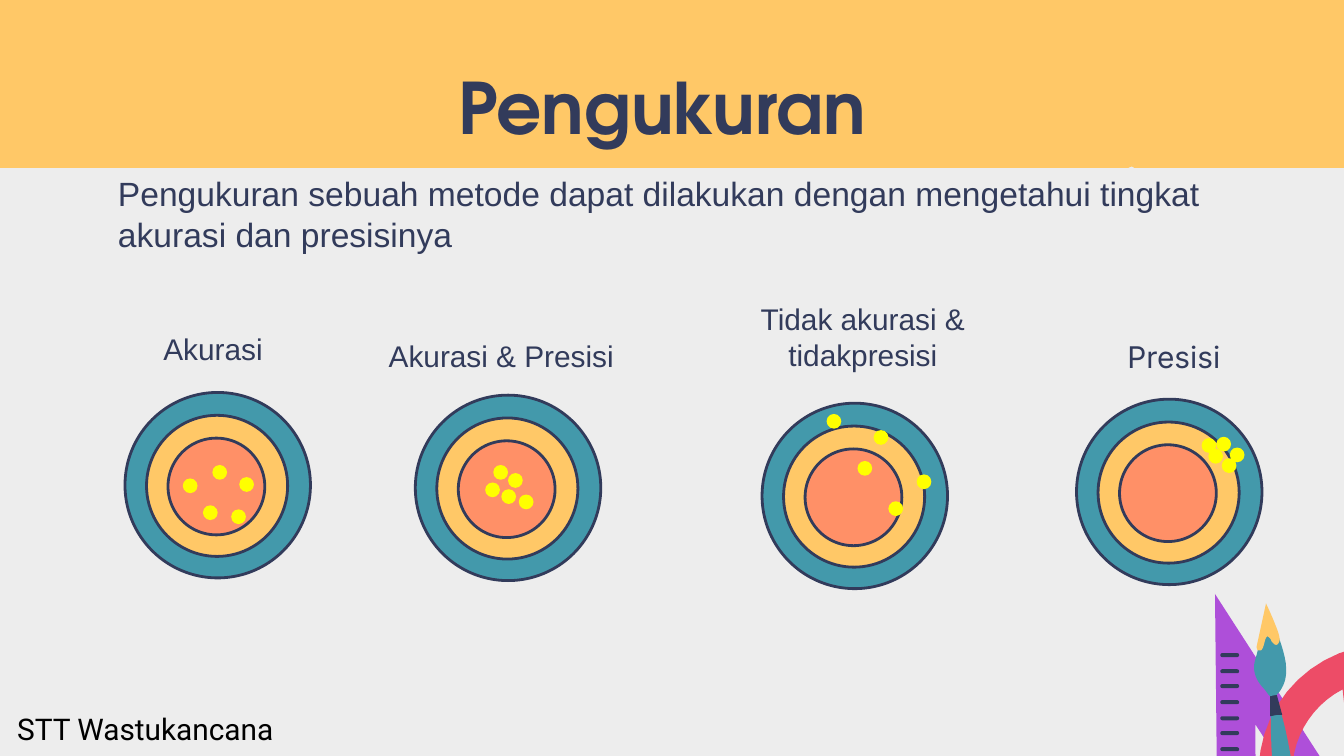
import pptx
import pptx.util
import pptx.dml.color
import pptx.enum.shapes
import pptx.enum.text

RGB = pptx.dml.color.RGBColor
SHAPE = pptx.enum.shapes.MSO_SHAPE
ALIGN = pptx.enum.text.PP_ALIGN
ANCHOR = pptx.enum.text.MSO_ANCHOR
PX = 9144
STEPS = 12

PAPER = RGB(0xED, 0xED, 0xED)
AMBER = RGB(0xFF, 0xC8, 0x67)
NAVY = RGB(0x32, 0x3B, 0x5B)
TEAL = RGB(0x43, 0x99, 0xAB)
CORAL = RGB(0xFF, 0x90, 0x67)
YELLOW = RGB(0xFF, 0xFF, 0x00)
PURPLE = RGB(0xAE, 0x4F, 0xD9)
RED = RGB(0xED, 0x4C, 0x67)
BLACK = RGB(0, 0, 0)

RINGS = [(0, 0, 138, TEAL), (16, 17, 105, AMBER), (32, 34, 72, CORAL)]
BOARDS = [
    (93, 292, [(136, 356), (172, 379), (178, 355), (151, 376), (158, 346)]),
    (801, 297, [(915, 333), (909, 341), (899, 334), (905, 325), (894, 326)]),
    (309, 294, [(367, 346), (373, 364), (378, 352), (361, 359), (386, 368)]),
    (567, 300, [(615, 308), (661, 373), (638, 343), (682, 353), (650, 320)]),
]
LABELS = [
    ("Akurasi", 87, 228, 143, 45, "Arial", ALIGN.CENTER, 1.5),
    ("Presisi", 829, 234, 115, 45, "Inter", ALIGN.LEFT, 1.5),
    ("Akurasi & Presisi", 260, 233, 226, 45, "Arial", ALIGN.CENTER, 1.5),
    ("Tidak akurasi & tidakpresisi", 501, 219, 282, 64, "Arial", ALIGN.CENTER, 1),
]

BAND = [[(0, 0), (0, 125), (839, 125), (840, 125, 841, 124, 842, 124),
         (843, 124, 844, 125, 844, 125), (1000, 125), (1000, 0)]]
RULER = [[(1037, 698), (934, 539), (935, 699)],
         [(1086, 724), (907, 726), (904, 442)]]
ARC = [[(1013, 645), (999, 513), (974, 526, 959, 553, 962, 581), (963, 586),
        (966, 614, 986, 637, 1013, 645)],
       [(1041, 672), (989, 678, 943, 640, 937, 588), (937, 584),
        (932, 532, 969, 486, 1021, 480)]]
BRUSH = [
    ([[(969, 701), (969, 702, 970, 702, 970, 702),
       (975, 701, 973, 660, 967, 610), (962, 564, 954, 526, 949, 521),
       (949, 521, 949, 521, 948, 521), (944, 521, 945, 562, 951, 612),
       (956, 659, 964, 696, 969, 701)]], TEAL),
    ([[(945, 533), (950, 532), (954, 532), (950, 517), (947, 517), (945, 518)]], NAVY),
    ([[(941, 513), (943, 516, 945, 518, 945, 518), (950, 517),
       (950, 517, 958, 510, 957, 497), (957, 483, 943, 454, 943, 454),
       (943, 454, 938, 477, 934, 491), (931, 500, 936, 508, 941, 513)]], TEAL),
    ([[(936, 484), (936, 484, 937, 484, 938, 484),
       (941, 483, 941, 471, 944, 474), (944, 474, 944, 474, 945, 475),
       (946, 476, 946, 478, 947, 478), (949, 481, 951, 480, 952, 477),
       (954, 474, 942, 449, 942, 449), (935, 481),
       (935, 481, 935, 483, 936, 484)]], AMBER),
]


def paint(shape, fill, line=None):
    shape.shadow.inherit = False
    shape.fill.solid()
    shape.fill.fore_color.rgb = fill
    if line is None:
        shape.line.fill.background()
    else:
        shape.line.color.rgb = line
        shape.line.width = pptx.util.Pt(1.5)


def add_form(home, kind, x, y, w, h, fill, line=None):
    shape = home.add_shape(kind, x * PX, y * PX, w * PX, h * PX)
    paint(shape, fill, line)
    return shape


def trace(parts):
    spots = [parts[0]]
    for part in parts[1:]:
        if len(part) == 2:
            spots.append(part)
            continue
        knots = [spots[-1], part[:2], part[2:4], part[4:]]
        for step in range(1, STEPS + 1):
            t = step / STEPS
            mix = [(1 - t) ** 3, 3 * t * (1 - t) ** 2, 3 * t * t * (1 - t), t ** 3]
            spots.append(tuple(sum(m * k[axis] for m, k in zip(mix, knots))
                               for axis in (0, 1)))
    return spots


def add_free(home, loops, fill):
    traced = [trace(loop) for loop in loops]
    pen = home.build_freeform(*[round(v * PX) for v in traced[0][0]], scale=1.0)
    for index, spots in enumerate(traced):
        ends = [(round(x * PX), round(y * PX)) for x, y in spots]
        if index:
            pen.move_to(*ends[0])
        pen.add_line_segments(ends[1:], close=True)
    paint(pen.convert_to_shape(), fill)


def add_text(home, text, x, y, w, h, font, size, color, align=ALIGN.LEFT,
             space=1, bold=False, inset=5):
    box = home.add_textbox(x * PX, y * PX, w * PX, h * PX)
    frame = box.text_frame
    frame.word_wrap = True
    frame.vertical_anchor = ANCHOR.TOP
    frame.margin_left = frame.margin_right = 10 * PX
    frame.margin_top = frame.margin_bottom = inset * PX
    frame.text = text
    para = frame.paragraphs[0]
    para.alignment = align
    para.line_spacing = float(space)
    face = para.runs[0].font
    face.name = font
    face.size = pptx.util.Pt(size)
    face.bold = bold
    face.color.rgb = color
    return frame


def add_board(home, x, y, darts):
    group = home.add_group_shape().shapes
    for dx, dy, size, fill in RINGS:
        add_form(group, SHAPE.OVAL, x + dx, y + dy, size, size, fill, NAVY)
    for left, top in darts:
        add_form(group, SHAPE.OVAL, left, top, 11, 11, YELLOW)


def add_tools(home):
    tools = home.add_group_shape().shapes
    add_free(tools, RULER, PURPLE)
    for tick in range(7):
        bar = add_form(tools, SHAPE.ROUNDED_RECTANGLE, 908,
                       486 + round(tick * 11.67), 14, 3, NAVY)
        bar.adjustments[0] = 0.5
    add_free(tools, ARC, RED)
    for loops, fill in BRUSH:
        add_free(tools, loops, fill)


def main():
    deck = pptx.Presentation()
    deck.slide_width = 1000 * PX
    deck.slide_height = deck.slide_width * 9 // 16
    slide = deck.slides.add_slide(deck.slide_layouts[6])
    slide.background.fill.solid()
    slide.background.fill.fore_color.rgb = PAPER
    home = slide.shapes
    add_free(home, BAND, AMBER)
    add_text(home, "Pengukuran ", 78, 37, 844, 77, "TeX Gyre Adventor",
             38, NAVY, ALIGN.CENTER, bold=True, inset=10)
    body = add_text(home, "Pengukuran sebuah metode dapat dilakukan dengan "
                    "mengetahui tingkat akurasi dan presisinya",
                    78, 119, 844, 86, "Arial", 18, NAVY, inset=10)
    body.paragraphs[0].space_before = pptx.util.Pt(10)
    for x, y, darts in BOARDS:
        add_board(home, x, y, darts)
    for text, x, y, w, h, font, align, space in LABELS:
        add_text(home, text, x, y, w, h, font, 16, NAVY, align, space)
    add_tools(home)
    add_text(home, "STT Wastukancana", 3, 524, 211, 37, "Roboto", 16, BLACK)
    deck.save("out.pptx")


if __name__ == "__main__":
    main()
